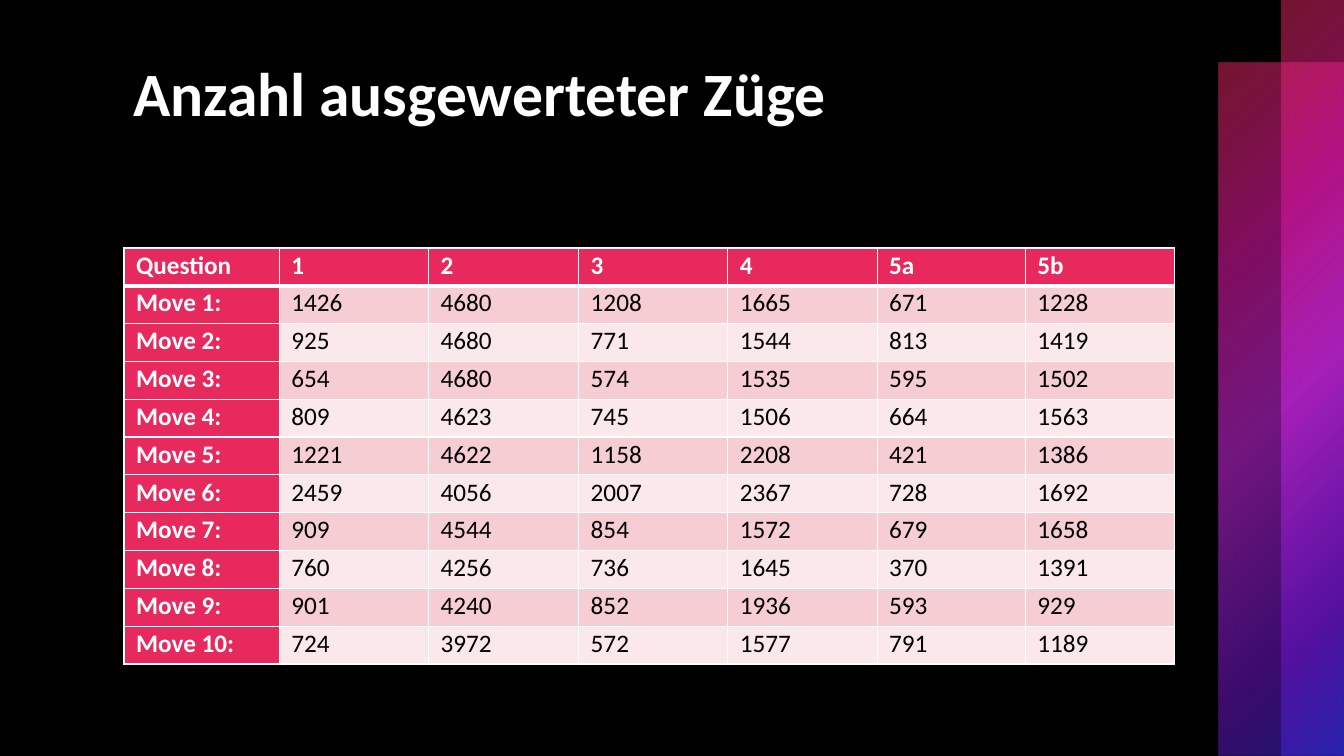
from lxml import etree
from pptx import Presentation
from pptx import util as u
from pptx.dml.color import RGBColor
from pptx.enum import shapes, text
from pptx.oxml import ns

INK = {
    "black": "000000", "white": "FFFFFF", "red": "E7295E",
    "rose": "F6CDD2", "pale": "FAE8EA",
    "pink": "D5179B", "lilac": "D129E7", "plum": "7117D5", "blue": "372DE7",
}
GLOW = [(0, "red", 50), (25, "pink", 60), (50, "lilac", 55), (81, "plum", 50), (99, "blue", 50)]
HEAD = ["Question", "1", "2", "3", "4", "5a", "5b"]
WIDES = [1.54, 1.48, 1.49, 1.48, 1.48, 1.47, 1.48]
MOVES = [
    [1426, 4680, 1208, 1665, 671, 1228],
    [925, 4680, 771, 1544, 813, 1419],
    [654, 4680, 574, 1535, 595, 1502],
    [809, 4623, 745, 1506, 664, 1563],
    [1221, 4622, 1158, 2208, 421, 1386],
    [2459, 4056, 2007, 2367, 728, 1692],
    [909, 4544, 854, 1572, 679, 1658],
    [760, 4256, 736, 1645, 370, 1391],
    [901, 4240, 852, 1936, 593, 929],
    [724, 3972, 572, 1577, 791, 1189],
]


def tint(name):
    return RGBColor.from_string(INK[name])


def add(node, tag, **attrs):
    return etree.SubElement(node, ns.qn(tag), {k: str(v) for k, v in attrs.items()})


class Deck:
    font = "Calibri"

    def __init__(self):
        self.prs = Presentation()
        self.prs.slide_width = u.Inches(13.33)
        self.prs.slide_height = u.Inches(7.5)
        self.slide = self.prs.slides.add_slide(self.prs.slide_layouts[5])
        fill = self.slide.background.fill
        fill.solid()
        fill.fore_color.rgb = tint("black")

    def style(self, para, size, color, bold):
        for run in para.runs:
            run.font.name = self.font
            run.font.size = u.Pt(size)
            run.font.bold = bold
            run.font.color.rgb = tint(color)

    def title(self, words, box):
        shape = self.slide.shapes.title
        shape.left, shape.top, shape.width, shape.height = map(u.Inches, box)
        frame = shape.text_frame
        frame.text = words
        frame.word_wrap = True
        frame.auto_size = text.MSO_AUTO_SIZE.NONE
        frame.vertical_anchor = text.MSO_ANCHOR.TOP
        para = frame.paragraphs[0]
        para.alignment = text.PP_ALIGN.LEFT
        self.style(para, 44, "white", True)

    def rect(self, box):
        shape = self.slide.shapes.add_shape(shapes.MSO_SHAPE.RECTANGLE, *map(u.Inches, box))
        shape.shadow.inherit = False
        shape.line.fill.background()
        return shape

    def panel(self, box, color):
        fill = self.rect(box).fill
        fill.solid()
        fill.fore_color.rgb = tint(color)

    def bar(self, box):
        fill = self.rect(box).fill
        fill.gradient()
        grad = fill._xPr.find(ns.qn("a:gradFill"))
        for part in list(grad):
            grad.remove(part)
        stops = add(grad, "a:gsLst")
        for pos, name, alpha in GLOW:
            stop = add(stops, "a:gs", pos=pos * 1000)
            color = add(stop, "a:srgbClr", val=INK[name])
            add(color, "a:alpha", val=alpha * 1000)
        route = add(grad, "a:path", path="circle")
        add(route, "a:fillToRect", r=100000, b=100000)

    def edge(self, cell, row):
        props = cell._tc.get_or_add_tcPr()
        for side in "LRTB":
            wide = 3 if row == 0 and side == "B" else 1
            line = add(props, f"a:ln{side}", w=u.Pt(wide))
            add(add(line, "a:solidFill"), "a:srgbClr", val=INK["white"])

    def cell(self, cell, words, row, col):
        key = row == 0 or col == 0
        self.edge(cell, row)
        cell.fill.solid()
        cell.fill.fore_color.rgb = tint("red" if key else "rose" if row % 2 else "pale")
        cell.margin_left = cell.margin_right = u.Inches(0.12)
        cell.margin_top = cell.margin_bottom = 0
        cell.text_frame.text = str(words)
        para = cell.text_frame.paragraphs[0]
        para.line_spacing = 1.07
        para.space_after = u.Pt(8)
        self.style(para, 18, "white" if key else "black", key)

    def table(self, rows, box, wides):
        grid = self.slide.shapes.add_table(len(rows), len(wides), *map(u.Inches, box)).table
        grid.first_col = True
        for col, wide in zip(grid.columns, wides):
            col.width = u.Inches(wide)
        for r, row in enumerate(rows):
            for c, words in enumerate(row):
                self.cell(grid.cell(r, c), words, r, c)


def main():
    deck = Deck()
    deck.panel((0, 0, 13.33, 7.5), "black")
    deck.bar((12.09, 0.62, 1.24, 6.88))
    deck.bar((12.71, 0, 0.62, 7.5))
    deck.title("Anzahl ausgewerteter Züge", (1.22, 0.49, 10.37, 1.7))
    tree = deck.slide.shapes._spTree
    tree.append(deck.slide.shapes.title._element)
    rows = [HEAD] + [[f"Move {n}:"] + row for n, row in enumerate(MOVES, 1)]
    deck.table(rows, (1.23, 2.46, 10.42, 4.13), WIDES)
    deck.prs.save("out.pptx")


if __name__ == "__main__":
    main()
